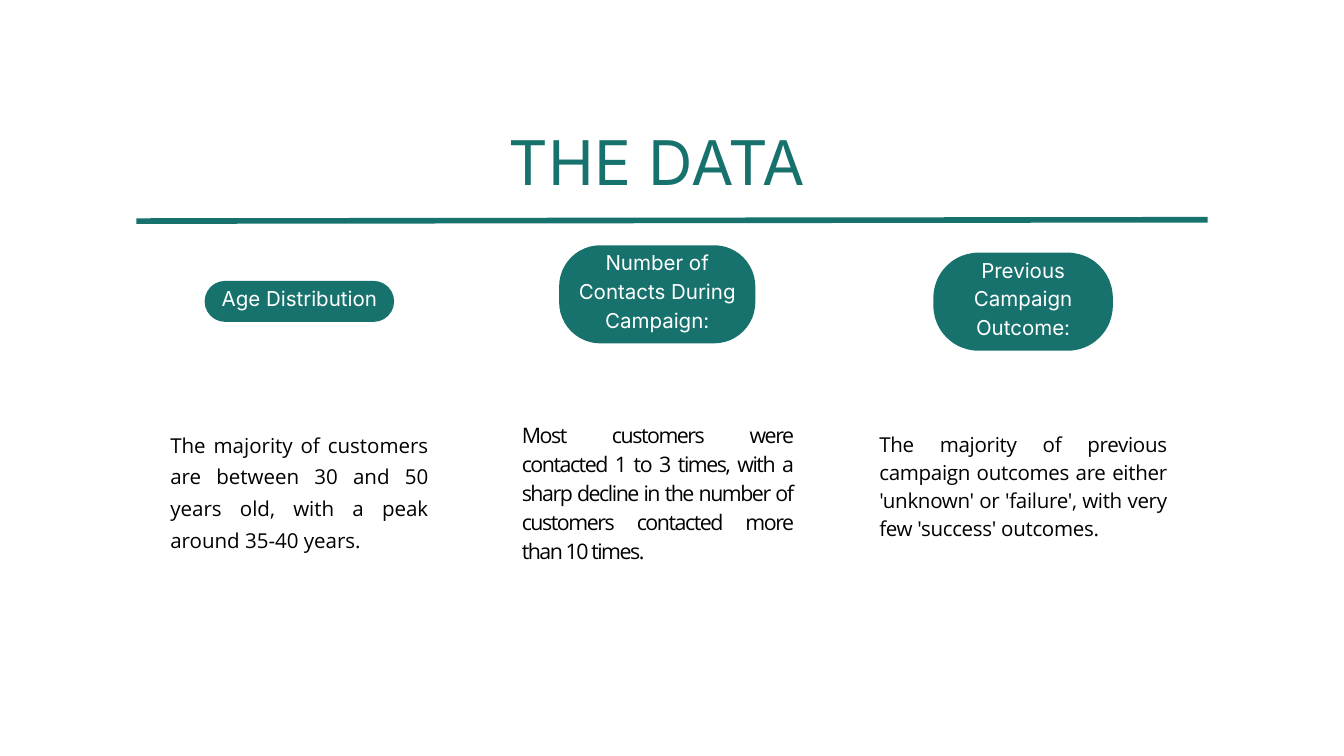
from dataclasses import dataclass

from lxml import etree
from pptx import Presentation
from pptx.dml.color import RGBColor
from pptx.enum.shapes import MSO_CONNECTOR, MSO_SHAPE
from pptx.enum.text import MSO_ANCHOR, MSO_AUTO_SIZE, PP_ALIGN
from pptx.oxml.ns import qn
from pptx.util import Inches, Pt

TEAL = RGBColor(0x17, 0x72, 0x6D)
WHITE = RGBColor(0xFF, 0xFF, 0xFF)
BLACK = RGBColor(0x00, 0x00, 0x00)
HEADING_FONT, BODY_FONT = "Inter", "Open Sans"
CENTER, JUSTIFY = PP_ALIGN.CENTER, PP_ALIGN.JUSTIFY
TOP, MIDDLE = MSO_ANCHOR.TOP, MSO_ANCHOR.MIDDLE
NO_FIT = MSO_AUTO_SIZE.NONE
ROUNDED = MSO_SHAPE.ROUNDED_RECTANGLE
STRAIGHT = MSO_CONNECTOR.STRAIGHT

# Grid of 40 columns by 45 rows on a 20 x 11.25 inch slide
COLUMN, ROW = Inches(0.5), Inches(0.25)
LABEL_RISE = 0.62  # rows by which a label's box starts above its pill


@dataclass
class Topic:
    center: float
    label: str
    pill: tuple  # top, width, height
    roundness: float
    body: str
    body_box: tuple  # top, width, height
    size: float
    leading: float
    tracking: float = 0


TOPICS = [
    Topic(8.91, "Age Distribution", (16.72, 5.64, 2.44), 0.5,
          "The majority of customers are between 30 and 50 years old, "
          "with a peak around 35-40 years.",
          (25.32, 7.68, 7.4), 22, 34.1),
    Topic(19.56, "Number of Contacts During Campaign:", (14.6, 5.84, 5.84), 0.42,
          "Most customers were contacted 1 to 3 times, with a sharp decline "
          "in the number of customers contacted more than 10 times.",
          (24.92, 8.06, 8.4), 22.9, 31.1, -1.6),
    Topic(30.45, "Previous Campaign Outcome:", (15.04, 5.34, 5.84), 0.46,
          "The majority of previous campaign outcomes are either 'unknown' "
          "or 'failure', with very few 'success' outcomes.",
          (25.52, 8.56, 6.44), 22, 29.9, -0.3),
]


class DataSlide:
    def __init__(self, deck):
        self.slide = deck.slides.add_slide(deck.slide_layouts[5])

    def box(self, center, top, width, height):
        """Position and size of a box centred on a grid column."""
        return (round((center - width / 2) * COLUMN), round(top * ROW),
                round(width * COLUMN), round(height * ROW))

    def set_text(self, holder, text, font, size, color, align, leading,
                 anchor=TOP, inset=0, tracking=0):
        frame = holder.text_frame
        frame.text = text
        frame.word_wrap = True
        frame.auto_size = NO_FIT
        frame.vertical_anchor = anchor
        frame.margin_left = frame.margin_right = Inches(inset)
        frame.margin_top = frame.margin_bottom = Inches(inset)
        paragraph = frame.paragraphs[0]
        paragraph.alignment = align
        paragraph.line_spacing = Pt(leading)
        paragraph.font.name = font
        paragraph.font.size = Pt(size)
        paragraph.font.color.rgb = color
        if tracking:
            properties = paragraph._p.get_or_add_pPr().get_or_add_defRPr()
            properties.set("spc", str(round(tracking * 100)))

    def title(self, text, *place):
        title = self.slide.shapes.title
        title.left, title.top, title.width, title.height = self.box(*place)
        self.set_text(title, text, HEADING_FONT, 66, TEAL, CENTER, 92.4)

    def rule(self, start, end):
        (x1, y1), (x2, y2) = start, end
        rule = self.slide.shapes.add_connector(
            STRAIGHT, round(x1 * COLUMN), round(y1 * ROW),
            round(x2 * COLUMN), round(y2 * ROW))
        rule.line.color.rgb = TEAL
        rule.line.width = Pt(6)
        etree.SubElement(rule._element.spPr, qn("a:effectLst"))

    def pill(self, topic):
        top, width, height = topic.pill
        group = self.slide.shapes.add_group_shape()
        pill = group.shapes.add_shape(
            ROUNDED, *self.box(topic.center, top, width, height))
        pill.adjustments[0] = topic.roundness
        pill.shadow.inherit = False
        pill.fill.solid()
        pill.fill.fore_color.rgb = TEAL
        pill.line.fill.background()
        label = group.shapes.add_textbox(*self.box(
            topic.center, top - LABEL_RISE, width, height + LABEL_RISE))
        self.set_text(label, topic.label, HEADING_FONT, 22, WHITE, CENTER, 30.8,
                      anchor=MIDDLE, inset=0.06)

    def body(self, topic):
        body = self.slide.shapes.add_textbox(
            *self.box(topic.center, *topic.body_box))
        self.set_text(body, topic.body, BODY_FONT, topic.size, BLACK, JUSTIFY,
                      topic.leading, tracking=topic.tracking)


def main():
    deck = Presentation()
    deck.slide_width, deck.slide_height = 40 * COLUMN, 45 * ROW
    page = DataSlide(deck)

    # Heading and the rule below it
    page.title("THE DATA", 19.56, 6.64, 17.92, 4.96)
    page.rule((35.94, 13.08), (4.06, 13.16))

    # One column per finding
    for topic in TOPICS:
        page.pill(topic)
        page.body(topic)

    deck.save("out.pptx")


if __name__ == "__main__":
    main()
